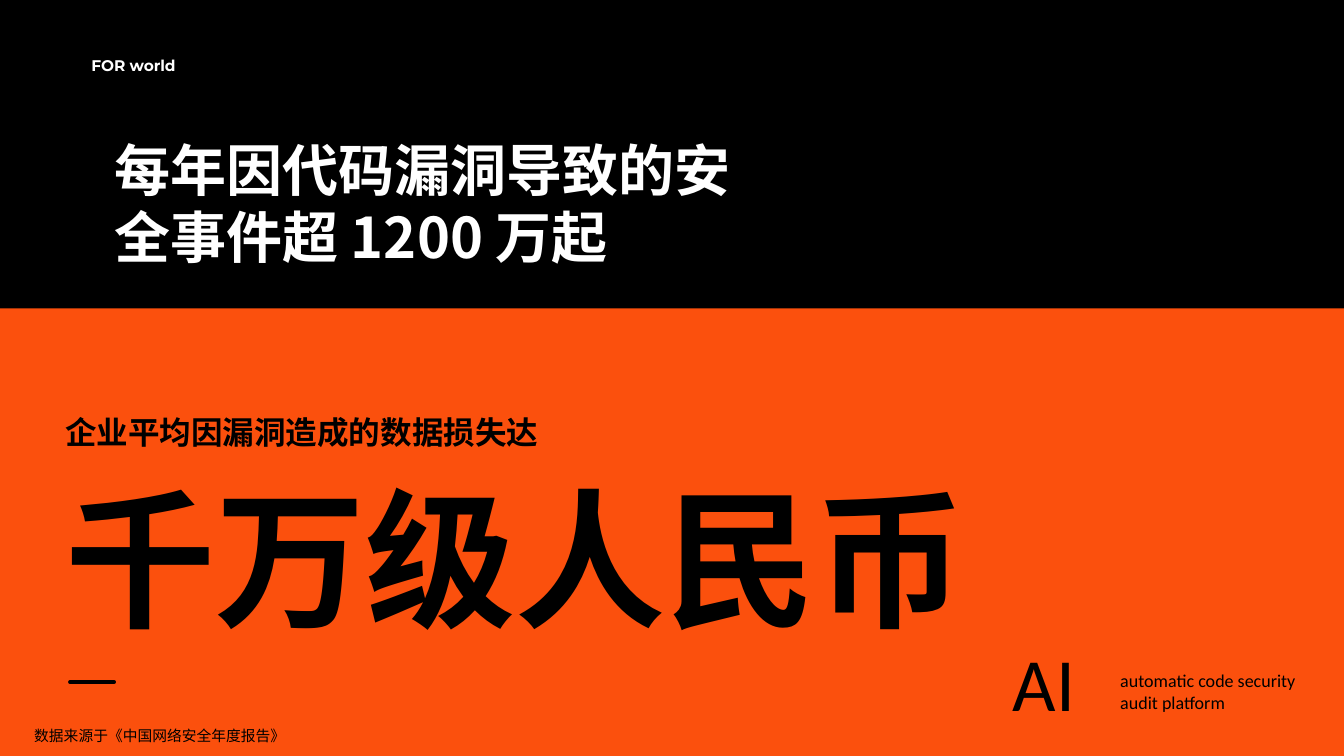
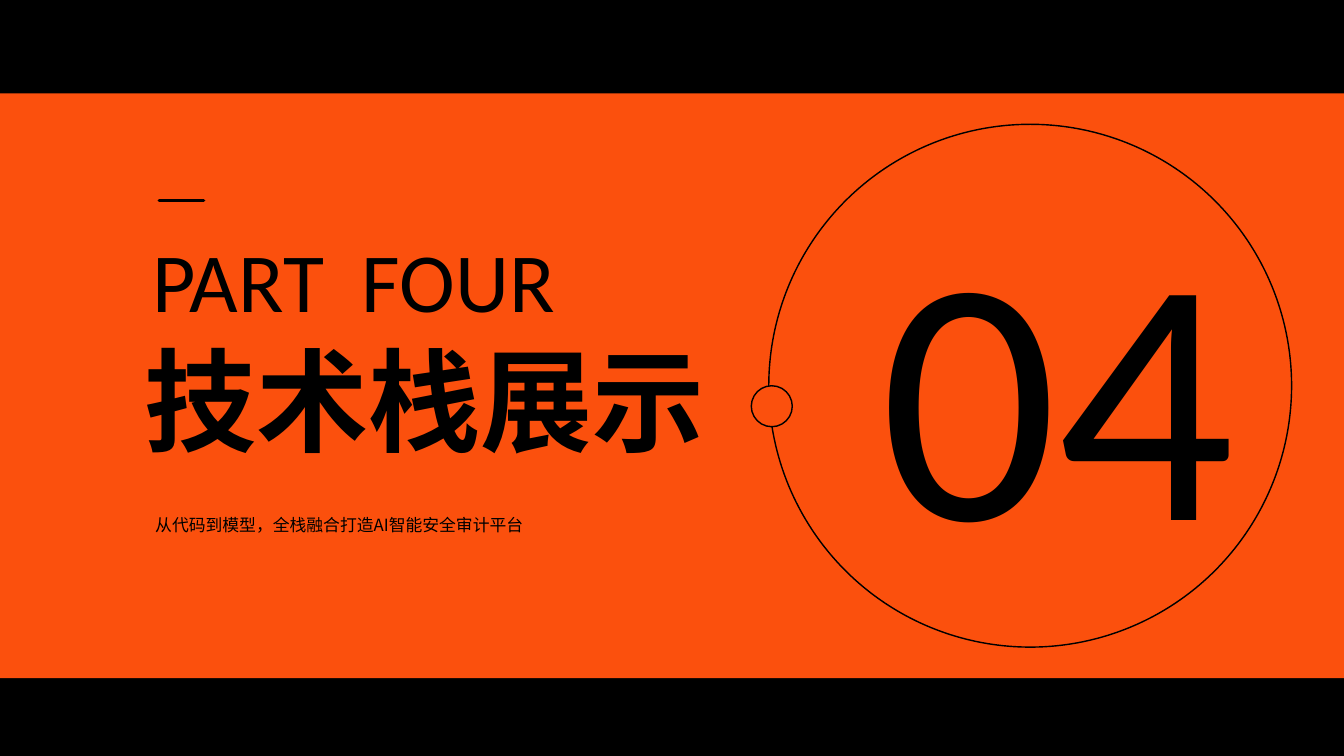
"""Build a data-loss statement slide and a section divider in black and orange."""
from lxml.etree import SubElement
from pptx import Presentation
from pptx.dml.color import RGBColor
from pptx.enum.shapes import MSO_CONNECTOR, MSO_SHAPE
from pptx.enum.text import MSO_ANCHOR, MSO_AUTO_SIZE, PP_ALIGN
from pptx.oxml.ns import qn
from pptx.util import Emu, Pt

BLACK = RGBColor(0x00, 0x00, 0x00)
WHITE = RGBColor(0xFF, 0xFF, 0xFF)
ORANGE = RGBColor(0xFB, 0x50, 0x0D)

CHINESE = "Noto Sans CJK SC"
LATIN = "Calibri"
LABEL = "Montserrat"

PX = 9144
WIDTH, HEIGHT = 2000, 1125
TITLE_ONLY = 5


def px(*lengths):
    return [Emu(length * PX) for length in lengths]


def write(shape, text, size, spacing, font=CHINESE, color=BLACK, bold=False,
          align=PP_ALIGN.LEFT):
    frame = shape.text_frame
    frame.word_wrap = True
    frame.auto_size = MSO_AUTO_SIZE.SHAPE_TO_FIT_TEXT
    frame.vertical_anchor = MSO_ANCHOR.TOP
    frame.margin_left = frame.margin_top = frame.margin_right = frame.margin_bottom = 0
    paragraph = frame.paragraphs[0]
    paragraph.alignment = align
    paragraph.line_spacing = Pt(spacing)
    run = paragraph.add_run()
    run.text = text
    run.font.name = font
    run.font.size = Pt(size)
    run.font.bold = bold
    run.font.color.rgb = color
    SubElement(run.font._element, qn("a:ea"), typeface=font)


class Deck:
    def __init__(self):
        self.presentation = Presentation()
        self.presentation.slide_width, self.presentation.slide_height = px(WIDTH, HEIGHT)
        self.slide = None

    def add_slide(self, band_top, band_height):
        layout = self.presentation.slide_layouts[TITLE_ONLY]
        self.slide = self.presentation.slides.add_slide(layout)
        background = self.slide.background.fill
        background.solid()
        background.fore_color.rgb = BLACK
        self.shape(MSO_SHAPE.RECTANGLE, 0, band_top, WIDTH, band_height, fill=ORANGE)

    def shape(self, kind, left, top, width, height, fill=None, line=None):
        shape = self.slide.shapes.add_shape(kind, *px(left, top, width, height))
        shape.shadow.inherit = False
        if fill is None:
            shape.fill.background()
        else:
            shape.fill.solid()
            shape.fill.fore_color.rgb = fill
        if line is None:
            shape.line.fill.background()
        else:
            shape.line.color.rgb = line
            shape.line.width = Pt(1.5)

    def circle(self, left, top, diameter, fill=None):
        self.shape(MSO_SHAPE.OVAL, left, top, diameter, diameter, fill, BLACK)

    def title(self, left, top, width, height, text, **style):
        title = self.slide.shapes.title
        title.left, title.top, title.width, title.height = px(left, top, width, height)
        write(title, text, bold=True, **style)
        title.element.getparent().append(title.element)

    def text(self, left, top, width, height, text, **style):
        box = self.slide.shapes.add_textbox(*px(left, top, width, height))
        write(box, text, **style)

    def dash(self, left, top):
        dash = self.slide.shapes.add_connector(
            MSO_CONNECTOR.STRAIGHT, *px(left, top, left + 66, top))
        dash.line.color.rgb = BLACK
        dash.line.width = Pt(3.75)
        dash.line._get_or_add_ln().set("cap", "rnd")
        SubElement(dash.element.spPr, qn("a:effectLst"))


def add_loss_slide(deck):
    deck.add_slide(459, HEIGHT - 459)
    deck.text(136, 83, 164, 27, "FOR world", size=16.5, spacing=19.8,
              font=LABEL, color=WHITE, bold=True)
    deck.title(170, 201, 954, 200, "每年因代码漏洞导致的安全事件超 1200 万起",
               size=60, spacing=72, color=WHITE)
    deck.text(97, 694, 1400, 266, "千万级人民币", size=160.8, spacing=192.9, bold=True)
    deck.text(97, 614, 706, 56, "企业平均因漏洞造成的数据损失达",
              size=33.8, spacing=40.5, bold=True)
    deck.dash(104, 1015)
    deck.text(48, 1081, 380, 26, "数据来源于《中国网络安全年度报告》",
              size=15.8, spacing=18.9, font=LABEL, align=PP_ALIGN.CENTER)
    deck.text(1507, 947, 221, 133, "AI", size=80.5, spacing=96.5, font=LATIN)
    deck.text(1667, 997, 292, 64, "automatic code security audit platform",
              size=19.3, spacing=23.1, font=LATIN)


def add_section_slide(deck):
    deck.add_slide(139, 870)
    deck.text(227, 340, 1000, 150, "PART  FOUR", size=90, spacing=108, font=LATIN)
    deck.title(215, 494, 848, 200, "技术栈展示", size=120, spacing=144)
    deck.text(838, 253, 1000, 625, "04", size=375, spacing=450,
              font=LATIN, align=PP_ALIGN.RIGHT)
    deck.dash(237, 298)
    deck.circle(1144, 185, 778)
    deck.circle(1118, 574, 61, fill=ORANGE)
    deck.text(231, 757, 559, 37, "从代码到模型，全栈融合打造AI智能安全审计平台",
              size=18, spacing=28.1)


def main():
    deck = Deck()
    add_loss_slide(deck)
    add_section_slide(deck)
    deck.presentation.save("out.pptx")


if __name__ == "__main__":
    main()
